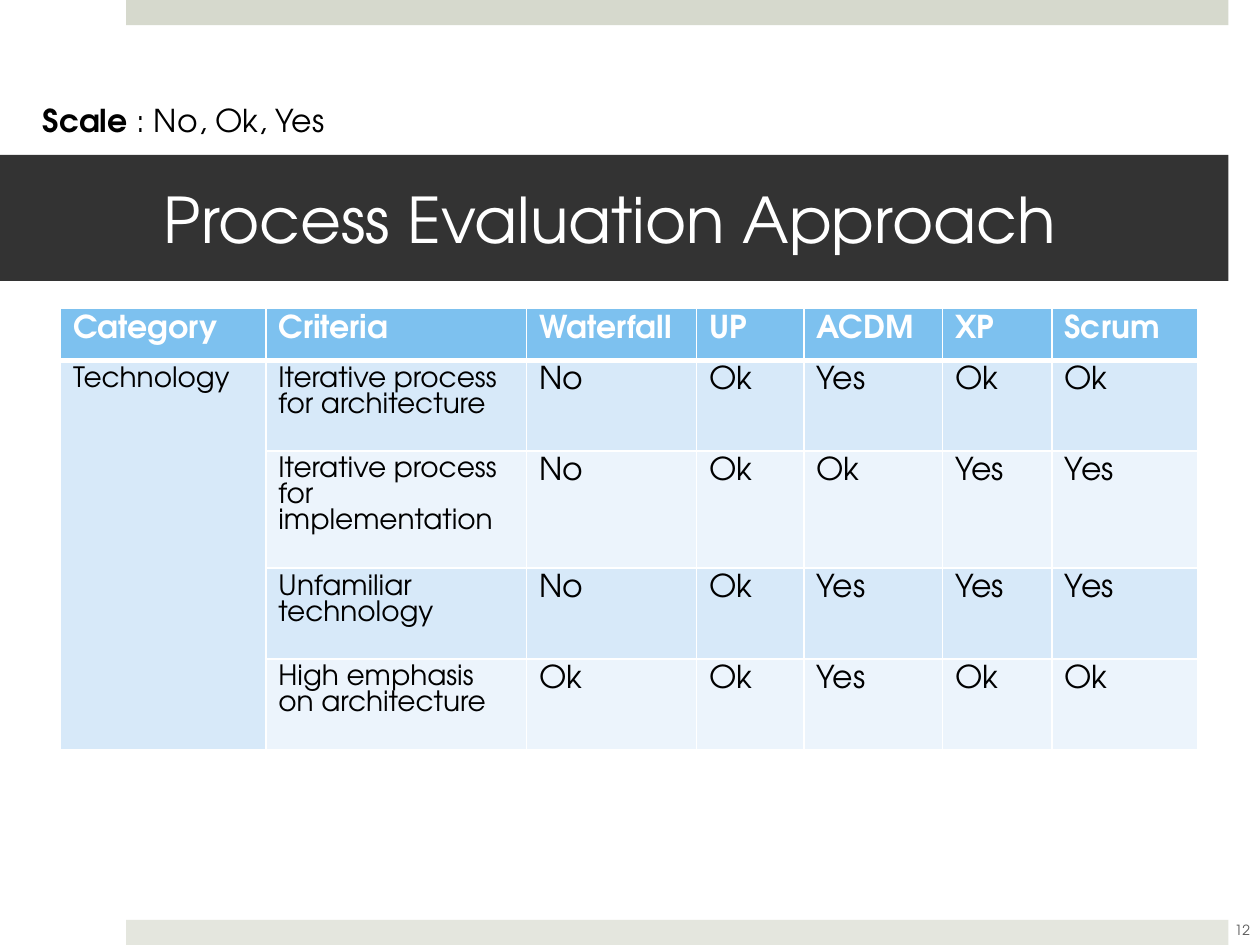
from dataclasses import dataclass

from lxml.etree import SubElement
from pptx import Presentation
from pptx.dml.color import RGBColor
from pptx.enum.shapes import MSO_SHAPE as Shape
from pptx.enum.text import MSO_ANCHOR as Anchor, PP_ALIGN as Align
from pptx.oxml.ns import qn
from pptx.util import Inches, Pt


@dataclass(frozen=True)
class Theme:
    """Colours, font and type sizes of the deck."""
    font: str = "TeX Gyre Adventor"
    white: str = "FFFFFF"
    black: str = "000000"
    grey: str = "595959"
    band: str = "333333"
    top_bar: str = "D6D9CD"
    bottom_bar: str = "E4E6DE"
    header: str = "7DC1EF"
    odd_row: str = "D7E9F9"
    even_row: str = "ECF4FC"
    title: int = 36
    body: int = 18
    criteria: int = 16
    number: int = 8


THEME = Theme()
HEADINGS = ["Category", "Criteria", "Waterfall", "UP", "ACDM", "XP", "Scrum"]
RATINGS = [
    ["Technology", "Iterative process for architecture", "No", "Ok", "Yes", "Ok", "Ok"],
    ["", "Iterative process for implementation", "No", "Ok", "Ok", "Yes", "Yes"],
    ["", "Unfamiliar technology", "No", "Ok", "Yes", "Yes", "Yes"],
    ["", "High emphasis on architecture", "Ok", "Ok", "Yes", "Ok", "Ok"],
]
COLUMN_WIDTHS = [1.63, 2.07, 1.35, 0.85, 1.1, 0.87, 1.16]
ROW_HEIGHTS = [0.41, 0.72, 0.93, 0.72, 0.72]


def add_text(para, text, size=THEME.body, color=THEME.black, bold=False):
    """Append a formatted span of text to a paragraph."""
    span = para.add_run()
    span.text = text
    span.font.name = THEME.font
    span.font.size = Pt(size)
    span.font.bold = bold
    span.font.color.rgb = RGBColor.from_string(color)


def add_bar(page, box, color):
    """Draw a plain filled rectangle."""
    bar = page.shapes.add_shape(Shape.RECTANGLE, *map(Inches, box))
    bar.shadow.inherit = False
    bar.fill.solid()
    bar.fill.fore_color.rgb = RGBColor.from_string(color)
    bar.line.fill.background()
    return bar


def add_title(page, box, text):
    """Draw the dark title band with its text."""
    frame = add_bar(page, box, THEME.band).text_frame
    frame.word_wrap = True
    frame.vertical_anchor = Anchor.MIDDLE
    frame.margin_left, frame.margin_right = Inches(1.3), Inches(0.3)
    frame.paragraphs[0].alignment = Align.LEFT
    add_text(frame.paragraphs[0], text, size=THEME.title, color=THEME.white)


def add_scale(page, box):
    """Write the rating scale above the title."""
    frame = page.shapes.add_textbox(*map(Inches, box)).text_frame
    frame.word_wrap = False
    add_text(frame.paragraphs[0], "Scale", bold=True)
    add_text(frame.paragraphs[0], " : No, Ok, Yes")


def add_number(page, box, text):
    """Write the page number."""
    frame = page.shapes.add_textbox(*map(Inches, box)).text_frame
    frame.word_wrap = True
    frame.vertical_anchor = Anchor.MIDDLE
    frame.paragraphs[0].alignment = Align.CENTER
    add_text(frame.paragraphs[0], text, size=THEME.number, color=THEME.grey)


def style_cell(cell, fill, top=1, bottom=1):
    """Give a cell its white borders and its fill."""
    properties = cell._tc.get_or_add_tcPr()
    for side, width in {"L": 1, "R": 1, "T": top, "B": bottom}.items():
        line = SubElement(properties, qn(f"a:ln{side}"), w=str(Pt(width)))
        solid = SubElement(line, qn("a:solidFill"))
        SubElement(solid, qn("a:srgbClr"), val=THEME.white)
    cell.fill.solid()
    cell.fill.fore_color.rgb = RGBColor.from_string(fill)


def add_ratings(page, box):
    """Build the table that rates each process against the criteria."""
    rows = [HEADINGS, *RATINGS]
    table = page.shapes.add_table(len(rows), len(HEADINGS), *map(Inches, box)).table
    for column, width in zip(table.columns, COLUMN_WIDTHS):
        column.width = Inches(width)
    for row, height in zip(table.rows, ROW_HEIGHTS):
        row.height = Inches(height)
    for i, texts in enumerate(rows):
        heading = i == 0
        fill = THEME.header if heading else THEME.odd_row if i % 2 else THEME.even_row
        for j, text in enumerate(texts):
            cell = table.cell(i, j)
            style_cell(cell, fill, top=3 if i == 1 else 1, bottom=3 if heading else 1)
            if text:
                size = THEME.body if heading or j > 1 else THEME.criteria
                color = THEME.white if heading else THEME.black
                add_text(cell.text_frame.paragraphs[0], text, size=size, color=color, bold=heading)
    table.cell(1, 0).merge(table.cell(len(RATINGS), 0))


def build_slide(page):
    """Place every region of the evaluation slide."""
    add_bar(page, (1, 0, 8.75, 0.2), THEME.top_bar)
    add_bar(page, (1, 7.3, 8.75, 0.2), THEME.bottom_bar)
    add_title(page, (0, 1.23, 9.75, 1), "Process Evaluation Approach")
    add_ratings(page, (0.48, 2.45, sum(COLUMN_WIDTHS), sum(ROW_HEIGHTS)))
    add_number(page, (9.61, 7.18, 0.5, 0.4), "12")
    add_scale(page, (0.24, 0.75, 2.45, 0.4))


def main():
    """Create the deck and save it."""
    deck = Presentation()
    deck.slide_width, deck.slide_height = Inches(10), Inches(7.5)
    build_slide(deck.slides.add_slide(deck.slide_layouts[6]))
    deck.save("out.pptx")


if __name__ == "__main__":
    main()
